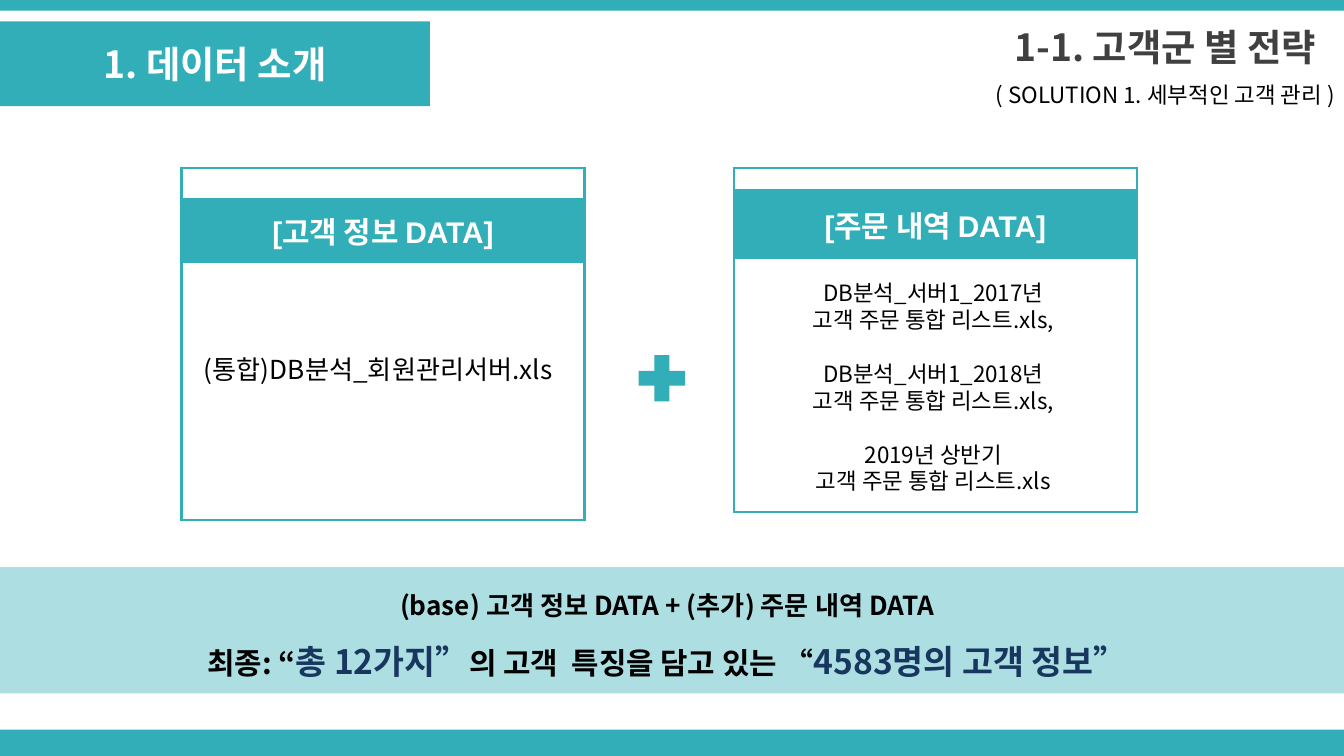
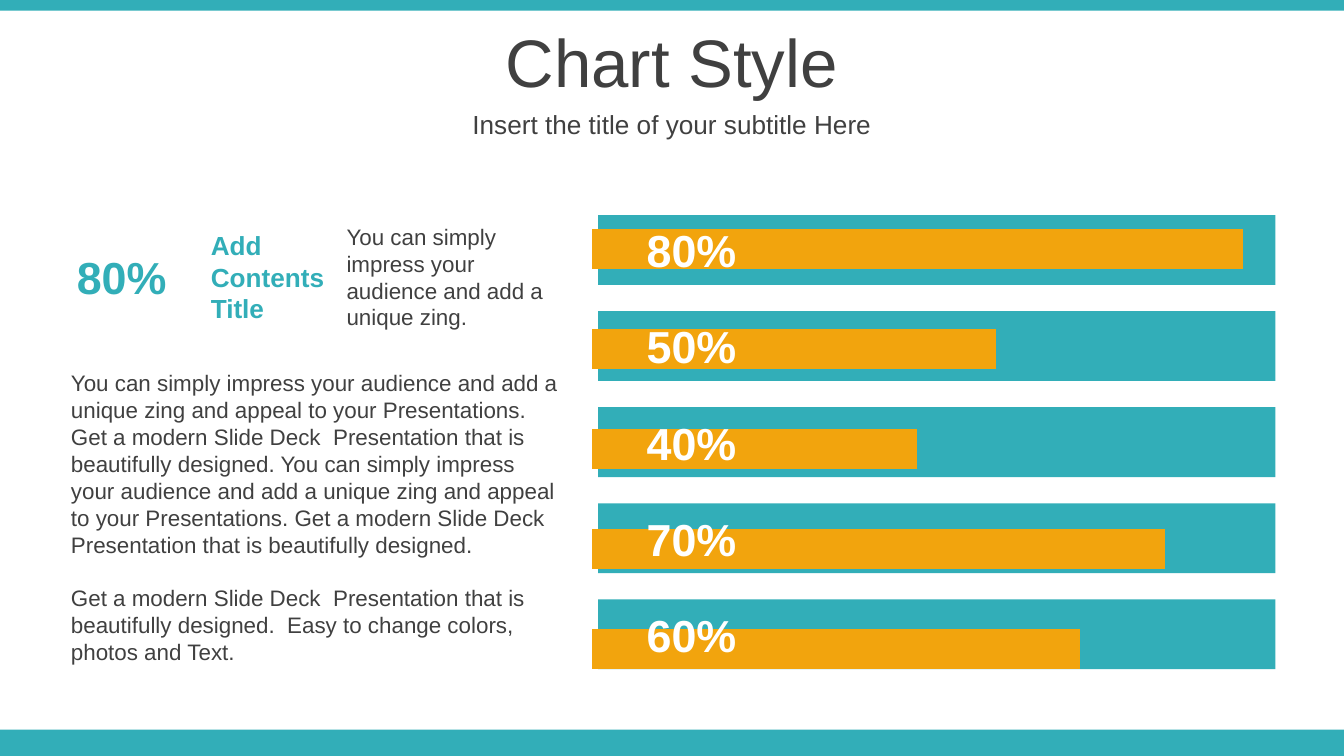
from lxml.etree import SubElement
from pptx import Presentation
from pptx.chart.data import CategoryChartData
from pptx.dml.color import RGBColor
from pptx.enum.chart import XL_CHART_TYPE as Chart
from pptx.enum.shapes import MSO_SHAPE as Shape
from pptx.enum.text import MSO_ANCHOR as Anchor, PP_ALIGN as Align
from pptx.oxml import parse_xml
from pptx.oxml.ns import nsdecls, qn
from pptx.util import Inches, Pt

# Shared look
WIDE, HIGH = 10, 5.625
TEAL, GOLD, NAVY = "32AEB8", "F2A40D", "17375E"
GREY, BLACK, WHITE = "404040", "000000", "FFFFFF"
KOR, LAT = "Noto Sans CJK KR", "Arial"
BANDS = [(0, 0, WIDE, 0.08), (0, 5.43, WIDE, 0.2)]

# Slide 1 content
HEAD = "1. 데이터 소개"
TOPIC = "1-1. 고객군 별 전략"
NOTE = "( SOLUTION 1. 세부적인 고객 관리 )"
COLS = (0.39, 2.22, 0.39)
CARDS = [
    (1.35, "[고객 정보 DATA]", (0.22, 0.49, 0.32, 0.32, 0.38, 0.59, 0.3)),
    (5.46, "[주문 내역 DATA]", (0.16, 0.52, 0.34, 0.34, 0.34, 0.63, 0.23)),
]
MEMBER = "(통합)DB분석_회원관리서버.xls"
ORDERS = [
    "DB분석_서버1_2017년\n고객 주문 통합 리스트.xls,",
    "DB분석_서버1_2018년\n고객 주문 통합 리스트.xls,",
    "2019년 상반기\n고객 주문 통합 리스트.xls",
]
RESULT = [
    "(base) 고객 정보 DATA + (추가) 주문 내역 DATA",
    [("최종: “", 16, BLACK), ("총 12가지”", 18, NAVY),
     ("의 고객  특징을 담고 있는 “", 16, BLACK),
     ("4583명의 고객 정보”", 18, NAVY)],
]

# Slide 2 content
TITLE = "Chart Style"
SUB = "Insert the title of your subtitle Here"
RATES = ["80%", "50%", "40%", "70%", "60%"]
VALUES = [75, 88, 50, 62, 100]
LEAD = "Add Contents Title"
BRIEF = "You can simply impress your audience and add a unique zing."
BODY = [
    "You can simply impress your audience and add a unique zing and appeal "
    "to your Presentations. Get a modern Slide Deck  Presentation that is "
    "beautifully designed. You can simply impress your audience and add a "
    "unique zing and appeal to your Presentations. Get a modern Slide Deck  "
    "Presentation that is beautifully designed.",
    "Get a modern Slide Deck  Presentation that is beautifully designed.  "
    "Easy to change colors, photos and Text.",
]


def rgb(code):
    return RGBColor.from_string(code)


def paint(fill, code):
    fill.solid()
    fill.fore_color.rgb = rgb(code)


def style(font, size, color):
    font.size = Pt(size)
    font.color.rgb = rgb(color)


def write(frame, paras, size, color, face=KOR, bold=False, align=Align.CENTER,
          gap=0, lead=None):
    """Fill a frame; a paragraph is a string or a list of (text, size, color)."""
    for i, para in enumerate(paras):
        p = frame.add_paragraph() if i else frame.paragraphs[0]
        p.alignment = align
        if lead:
            p.line_spacing = lead
        if i and gap:
            p.space_before = Pt(gap)
        style(p.font, size, color)
        p.font.bold = bold
        p.font.name = face
        SubElement(p._p.pPr.find(qn("a:defRPr")), qn("a:ea"), typeface=KOR)
        if isinstance(para, str):
            p.text = para
            continue
        for words, points, tint in para:
            run = p.add_run()
            run.text = words
            style(run.font, points, tint)


def text(slide, at, paras, size, color, anchor=Anchor.TOP, wrap=True, **look):
    frame = slide.shapes.add_textbox(*map(Inches, at)).text_frame
    frame.word_wrap = wrap
    frame.vertical_anchor = anchor
    write(frame, paras, size, color, **look)


def block(slide, at, color=TEAL, kind=Shape.RECTANGLE, alpha=None):
    shape = slide.shapes.add_shape(kind, *map(Inches, at))
    shape.shadow.inherit = False
    paint(shape.fill, color)
    shape.line.fill.background()
    if alpha:
        tint = shape._element.spPr.find(".//" + qn("a:srgbClr"))
        SubElement(tint, qn("a:alpha"), val=str(alpha * 1000))
    return shape


def start(deck):
    slide = deck.slides.add_slide(deck.slide_layouts[6])
    for band in BANDS:
        block(slide, band)
    return slide


def edge(cell, sides):
    """Draw the named sides of a cell and clear the others."""
    props = cell._tc.get_or_add_tcPr()
    for i, side in enumerate("LRTB"):
        ink = (f'<a:solidFill><a:srgbClr val="{TEAL}"/></a:solidFill>'
               if side in sides else "<a:noFill/>")
        props.insert(i, parse_xml(
            f'<a:ln{side} {nsdecls("a")} w="{Pt(1.5)}">{ink}</a:ln{side}>'))


def card(slide, left, head, rows):
    """Framed table with a coloured heading row."""
    last, end = len(rows) - 1, len(COLS) - 1
    at = map(Inches, (left, 1.25, sum(COLS), sum(rows)))
    table = slide.shapes.add_table(len(rows), len(COLS), *at).table
    table.first_row = table.horz_banding = False
    for col, size in zip(table.columns, COLS):
        col.width = Inches(size)
    for r, size in enumerate(rows):
        table.rows[r].height = Inches(size)
        full = r in (0, 1, last)
        for c in range(len(COLS)):
            cell = table.cell(r, c)
            cell.margin_top = cell.margin_bottom = 0
            cell.vertical_anchor = Anchor.MIDDLE
            paint(cell.fill, TEAL if r == 1 else WHITE)
            edge(cell, ("L" if c == 0 else "") + ("R" if full or c == end else "")
                 + ("T" if r == 0 else "") + ("B" if r == last else ""))
            p = cell.text_frame.paragraphs[0]
            if (r, c) == (1, 0):
                write(cell.text_frame, [head], 16, WHITE, face=LAT, bold=True)
            else:
                p.font.size = Pt(6)
                SubElement(p._p, qn("a:endParaRPr"), sz="600")
        if full:
            table.cell(r, 0).merge(table.cell(r, end))
    table.cell(3, 1).merge(table.cell(5, 1))


def bars(slide, at):
    data = CategoryChartData()
    data.categories = [str(i + 1) for i in range(len(VALUES))]
    data.add_series("Series 1", VALUES)
    chart = slide.shapes.add_chart(
        Chart.BAR_CLUSTERED, *map(Inches, at), data).chart
    chart.has_legend = chart.has_title = False
    style(chart.font, 18, BLACK)
    chart.font.name = LAT
    axis = chart.value_axis
    axis.minimum_scale, axis.maximum_scale = 0, 100
    axis.has_major_gridlines = False
    axis.visible = chart.category_axis.visible = False
    plot = chart.plots[0]
    plot.gap_width = 150
    plot.vary_by_categories = False
    paint(plot.series[0].format.fill, GOLD)
    # Fixed plot area, as shares of the chart
    area = chart._chartSpace.chart.plotArea
    for old in area.findall(qn("c:layout")):
        area.remove(old)
    parts = [("layoutTarget", "inner"), ("xMode", "edge"), ("yMode", "edge"),
             ("x", 0.02), ("y", 0.02), ("w", 0.85), ("h", 0.96)]
    inner = "".join(f'<c:{tag} val="{val}"/>' for tag, val in parts)
    area.insert(0, parse_xml(
        f'<c:layout {nsdecls("c")}><c:manualLayout>{inner}'
        '</c:manualLayout></c:layout>'))


def data_slide(deck):
    slide = start(deck)
    mid = Anchor.MIDDLE
    block(slide, (0, 4.22, WIDE, 0.94), alpha=40)
    text(slide, (7.03, 0.14, 3.28, 0.41), [TOPIC], 20, GREY, mid, bold=True)
    text(slide, (7.03, 0.55, 3.28, 0.31), [NOTE], 12, BLACK, mid)
    tab = block(slide, (0, 0.16, 3.2, 0.63)).text_frame
    tab.vertical_anchor = mid
    write(tab, [HEAD], 20, WHITE, bold=True)
    for spec_row in CARDS:
        card(slide, *spec_row)
    text(slide, (1.25, 2.58, 3.13, 0.34), [MEMBER], 14, BLACK, wrap=False)
    text(slide, (5.46, 2.03, 2.97, 1.92), ORDERS, 12, BLACK, gap=14.4)
    block(slide, (4.69, 2.58, 0.47, 0.47), kind=Shape.MATH_PLUS)
    text(slide, (0.16, 4.22, 9.61, 0.91), RESULT, 14, BLACK, bold=True, lead=1.5)


def chart_slide(deck):
    slide = start(deck)
    mid, left = Anchor.MIDDLE, Align.LEFT
    step = 2.86 / (len(RATES) - 1)
    for i in range(len(RATES)):
        block(slide, (4.45, 1.6 + i * step, 5.04, 0.52))
    text(slide, (0, 0.14, WIDE, 0.63), [TITLE], 36, GREY, mid, face=LAT)
    text(slide, (0, 0.77, WIDE, 0.31), [SUB], 14, GREY, mid, face=LAT)
    bars(slide, (4.29, 1.4, 5.7, 3.88))
    # Rates on the bars, then the key rate at the left
    marks = [(4.67, 1.61 + i * step, rate, WHITE) for i, rate in enumerate(RATES)]
    for x, y, rate, color in marks + [(0.43, 1.81, RATES[0], TEAL)]:
        text(slide, (x, y, 0.95, 0.5), [rate], 24, color, mid, face=LAT, bold=True)
    text(slide, (1.47, 1.66, 1.1, 0.81), [LEAD], 14, TEAL,
         face=LAT, bold=True, align=left)
    text(slide, (2.48, 1.61, 1.81, 0.91), [BRIEF], 12, GREY, face=LAT, align=left)
    text(slide, (0.43, 2.7, 3.86, 2.32), BODY, 12, GREY,
         face=LAT, align=left, gap=14.4)


def main():
    deck = Presentation()
    deck.slide_width, deck.slide_height = Inches(WIDE), Inches(HIGH)
    data_slide(deck)
    chart_slide(deck)
    deck.save("out.pptx")


if __name__ == "__main__":
    main()
